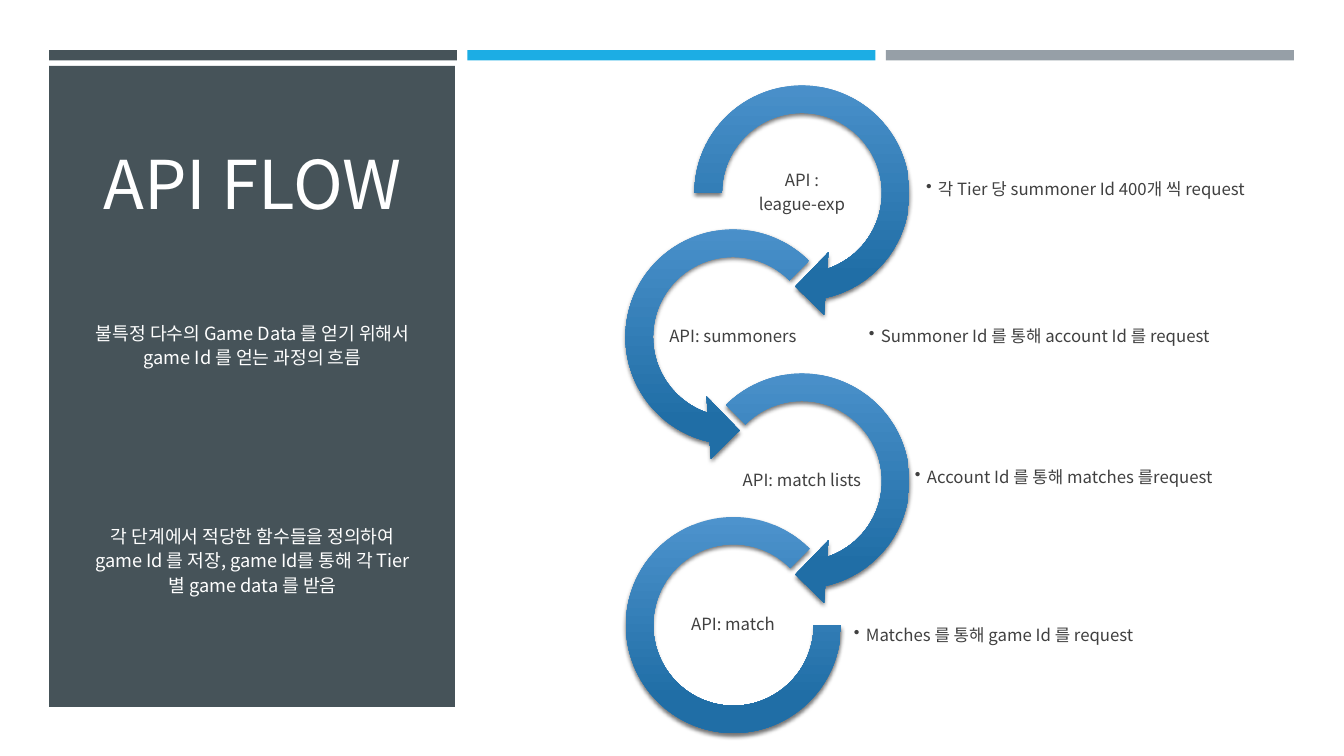
from dataclasses import dataclass

from lxml.etree import SubElement
from pptx import Presentation
from pptx.dml.color import RGBColor
from pptx.enum.shapes import MSO_SHAPE
from pptx.enum.text import MSO_ANCHOR, PP_ALIGN
from pptx.oxml.ns import qn
from pptx.util import Emu, Pt

SCALE = 914400 / 100.8


@dataclass(frozen=True)
class Theme:
    font: str = "Noto Sans CJK KR"
    slate: str = "465359"
    blue: str = "1CADE4"
    gray: str = "969FA7"
    white: str = "FFFFFF"
    ink: str = "404040"
    light: str = "4D93CD"
    deep: str = "206EA6"
    shade: str = "000000"
    title: int = 48
    body: int = 13
    label: int = 12


THEME = Theme()

RIGHT = (MSO_SHAPE.CIRCULAR_ARROW, 677)
LEFT = (MSO_SHAPE.LEFT_CIRCULAR_ARROW, 608)
RING, STEP, TOP = 250, 144, 68

# Ring kind and left edge, start angle, end angle, label
STEPS = [
    (RIGHT, 45, 108, "API :\nleague-exp"),
    (LEFT, 63, 189, "API: summoners"),
    (RIGHT, 45, 135, "API: match lists"),
    (None, 0, 189, "API: match"),
]

# Left, top, width, alignment, wording
NOTES = [
    (925, 140, 365, PP_ALIGN.LEFT, "각 Tier 당 summoner Id 400개 씩 request"),
    (868, 287, 445, PP_ALIGN.LEFT, "Summoner Id 를 통해 account Id 를 request"),
    (914, 428, 308, PP_ALIGN.JUSTIFY, "Account Id 를 통해 matches 를request"),
    (853, 586, 300, PP_ALIGN.LEFT, "Matches 를 통해 game Id 를 request"),
]

BODY = (
    "불특정 다수의 Game Data 를 얻기 위해서 game Id 를 얻는 과정의 흐름\n"
    "각 단계에서 적당한 함수들을 정의하여 game Id 를 저장, "
    "game Id를 통해 각 Tier별 game data 를 받음"
)


def px(*sizes):
    return [Emu(round(size * SCALE)) for size in sizes]


def style(frame, size, color, align, lines=0.9, after=0):
    """Format every paragraph and run of a text frame."""
    frame.word_wrap = True
    for para in frame.paragraphs:
        para.alignment = align
        para.line_spacing = lines
        para.space_after = Pt(after)
        for run in para.runs:
            run.font.size = Pt(size)
            run.font.name = THEME.font
            run.font.color.rgb = RGBColor.from_string(color)
            SubElement(run._r.rPr, qn("a:ea"), typeface=THEME.font)


def add_text(slide, box, text, inset=1):
    frame = slide.shapes.add_textbox(*px(*box)).text_frame
    frame.text = text
    frame.vertical_anchor = MSO_ANCHOR.MIDDLE
    edge = px(inset)[0]
    frame.margin_left = frame.margin_right = edge
    frame.margin_top = frame.margin_bottom = edge
    return frame


def add_block(slide, kind, box):
    shape = slide.shapes.add_shape(kind, *px(*box))
    shape.line.fill.background()
    shape.shadow.inherit = False
    return shape


def add_bar(slide, box, color):
    bar = add_block(slide, MSO_SHAPE.RECTANGLE, box)
    bar.fill.solid()
    bar.fill.fore_color.rgb = RGBColor.from_string(color)


def add_ring(slide, kind, box, angles):
    """Add a ring with a downward gradient and a soft shadow."""
    ring = add_block(slide, kind, box)
    for index, value in enumerate(angles):
        ring.adjustments[index] = value
    ring.fill.gradient()
    ring.fill.gradient_angle = 270
    stops = zip(ring.fill.gradient_stops, (THEME.light, THEME.deep), (0, 0.84))
    for stop, color, place in stops:
        stop.color.rgb = RGBColor.from_string(color)
        stop.position = place
    glow = SubElement(
        ring._element.spPr.find(qn("a:effectLst")), qn("a:outerShdw"),
        blurRad=str(Pt(3)), dist=str(Pt(2)), dir="5400000", rotWithShape="0")
    tint = SubElement(glow, qn("a:srgbClr"), val=THEME.shade)
    SubElement(tint, qn("a:alpha"), val="55000")


def add_note(slide, left, top, width, align, text):
    frame = add_text(slide, (left, top, width, 100), text)
    style(frame, THEME.label, THEME.ink, align)
    para = frame.paragraphs[0]
    para.level = 1
    props = para._p.get_or_add_pPr()
    indent = px(12)[0]
    props.set("marL", str(indent))
    props.set("indent", str(-indent))
    SubElement(props, qn("a:buChar"), char="•")


def add_panel(slide):
    # Top bars and side panel
    colors = (THEME.slate, THEME.blue, THEME.gray)
    for index, color in enumerate(colors):
        add_bar(slide, (49 + 418.5 * index, 50, 408, 10.5), color)
    add_bar(slide, (49, 66, 406, 641), THEME.slate)

    # Title, brought in front of the panel
    title = slide.shapes.title
    title.left, title.top, title.width, title.height = px(85, 130, 335, 99)
    frame = title.text_frame
    frame.text = "API FLOW"
    frame.vertical_anchor = MSO_ANCHOR.BOTTOM
    style(frame, THEME.title, THEME.white, PP_ALIGN.CENTER)
    slide.shapes._spTree.append(title._element)

    # Summary
    frame = add_text(slide, (85, 312, 335, 331), BODY, inset=8)
    frame.vertical_anchor = MSO_ANCHOR.TOP
    style(frame, THEME.body, THEME.white, PP_ALIGN.CENTER, 1.1, 6)
    for para, gap in zip(frame.paragraphs, (3, 105)):
        para.space_before = Pt(gap)


def add_flow(slide):
    for index, (ring, start, end, text) in enumerate(STEPS):
        top = TOP + STEP * index
        if ring:
            kind, left = ring
            angles = (0.11, 11.423, start, end, 0.125)
            add_ring(slide, kind, (left, top, RING, RING), angles)
        else:
            left = LEFT[1]
            box = (left + 18, top + 17, 215, 216)
            add_ring(slide, MSO_SHAPE.BLOCK_ARC, box, (start, end, 0.127))
        add_note(slide, *NOTES[index])
        frame = add_text(slide, (left + 55, top + 90, 140, 70), text)
        style(frame, THEME.label, THEME.ink, PP_ALIGN.CENTER, after=4)


def main():
    deck = Presentation()
    deck.slide_width, deck.slide_height = px(1344, 756)
    slide = deck.slides.add_slide(deck.slide_layouts[5])
    add_panel(slide)
    add_flow(slide)
    deck.save("out.pptx")


main()
